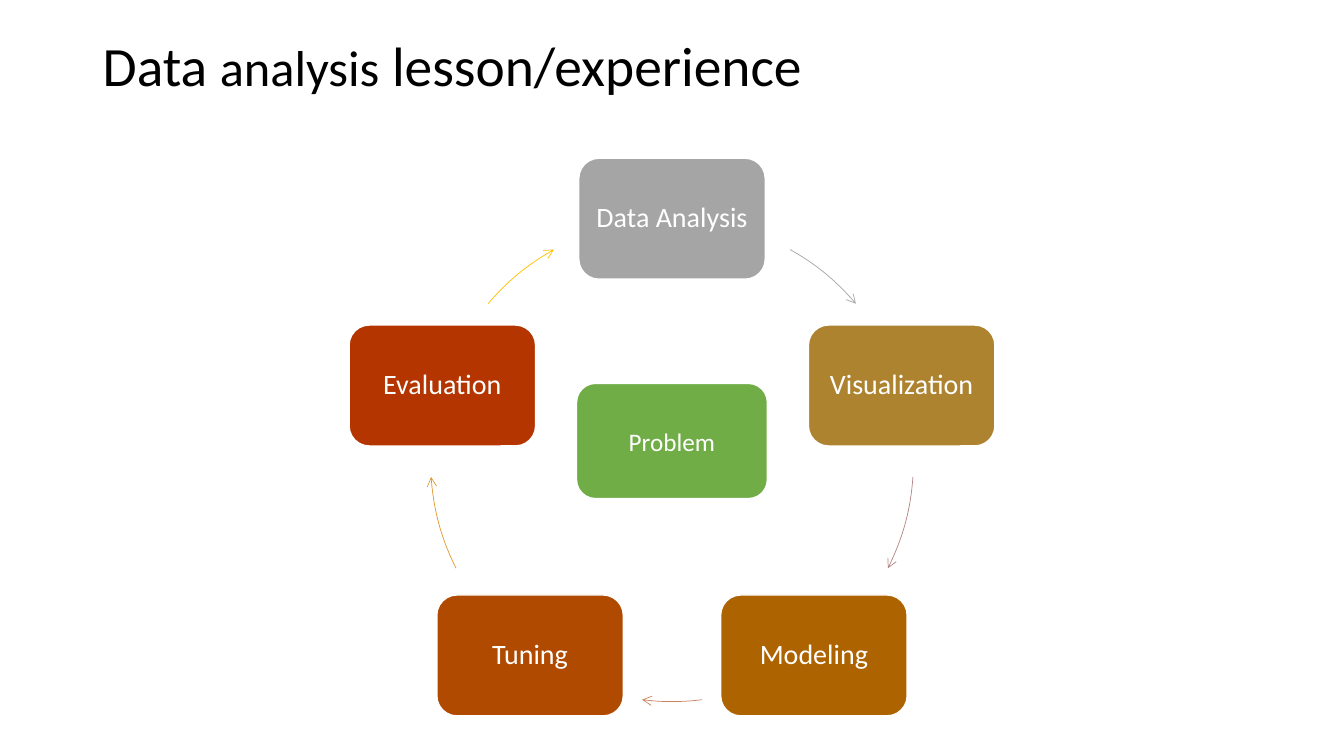
from math import cos, radians, sin

from lxml.etree import SubElement
from pptx import Presentation
from pptx.dml.color import RGBColor
from pptx.enum.shapes import MSO_SHAPE
from pptx.enum.text import MSO_ANCHOR, PP_ALIGN
from pptx.oxml.ns import qn
from pptx.util import Inches, Pt

FONT = "Calibri"
WHITE = RGBColor(255, 255, 255)
BLACK = RGBColor(0, 0, 0)
GREEN = RGBColor(0x70, 0xAD, 0x47)

# Label, box colour, arrow colour, arrow start and end in degrees from the top
STEPS = [
    ("Data Analysis", RGBColor(0xA5, 0xA5, 0xA5), RGBColor(0xA5, 0xA5, 0xA5), 29.3, 49.6),
    ("Visualization", RGBColor(0xAD, 0x83, 0x30), RGBColor(0xB4, 0x83, 0x83), 94, 116.6),
    ("Modeling", RGBColor(0xAD, 0x63, 0x00), RGBColor(0xC9, 0x82, 0x5C), 172.9, 187.1),
    ("Tuning", RGBColor(0xB0, 0x4A, 0x00), RGBColor(0xE1, 0x98, 0x30), 243.4, 266),
    ("Evaluation", RGBColor(0xB4, 0x35, 0x00), RGBColor(0xFF, 0xC0, 0x00), 310.4, 330.7),
]


def add_title(slide, left, top, width, height):
    frame = slide.shapes.add_textbox(
        Inches(left), Inches(top), Inches(width), Inches(height)).text_frame
    frame.word_wrap = True
    frame.vertical_anchor = MSO_ANCHOR.MIDDLE
    para = frame.paragraphs[0]
    para.line_spacing = 0.7
    para.font.name = FONT
    para.font.color.rgb = BLACK
    for text, size in (("Data ", 39.6), ("analysis", 36), (" lesson/experience", 39.6)):
        run = para.add_run()
        run.text = text
        run.font.size = Pt(size)


def add_box(slide, mid_x, mid_y, width, height, text, color, size, edge):
    """Draw a rounded box centred on the given point."""
    box = slide.shapes.add_shape(
        MSO_SHAPE.ROUNDED_RECTANGLE, Inches(mid_x - width / 2),
        Inches(mid_y - height / 2), Inches(width), Inches(height))
    box.shadow.inherit = False
    box.fill.solid()
    box.fill.fore_color.rgb = color
    box.line.color.rgb = WHITE
    box.line.width = Pt(edge)
    frame = box.text_frame
    frame.word_wrap = True
    frame.vertical_anchor = MSO_ANCHOR.MIDDLE
    frame.margin_left = frame.margin_right = Inches(0.08)
    frame.margin_top = frame.margin_bottom = Inches(0.08)
    para = frame.paragraphs[0]
    para.text = text
    para.alignment = PP_ALIGN.CENTER
    para.font.name = FONT
    para.font.size = Pt(size)
    para.font.color.rgb = WHITE
    return para


def add_arc(slide, left, top, side, color, start, end):
    """Draw an arrow along the circle that fills the given square."""
    arc = slide.shapes.add_shape(
        MSO_SHAPE.ARC, Inches(left), Inches(top), Inches(side), Inches(side))
    arc.shadow.inherit = False
    arc.fill.background()
    arc.line.color.rgb = color
    arc.line.width = Pt(0.5)
    for index, angle in enumerate((start, end)):
        # Arc angles run from the right, in 60000ths of a degree
        arc.adjustments[index] = (angle - 90) % 360 * 0.6
    SubElement(arc.line._get_or_add_ln(), qn("a:tailEnd"), type="arrow")


def add_cycle(slide, left, top, side):
    """Spread the steps evenly round the circle in the given square."""
    radius = side / 2
    mid_x, mid_y = left + radius, top + radius
    for index, (text, fill, line, start, end) in enumerate(STEPS):
        turn = radians(index * 360 / len(STEPS))
        para = add_box(slide, mid_x + radius * sin(turn), mid_y - radius * cos(turn),
                       1.85, 1.2, text, fill, 20, 1)
        para.line_spacing = 0.9
        add_arc(slide, left, top, side, line, start, end)
    add_box(slide, mid_x, mid_y - 0.19, 1.9, 1.15, "Problem", GREEN, 18, 1.5)


def main():
    deck = Presentation()
    deck.slide_width, deck.slide_height = Inches(13.33), Inches(7.5)
    slide = deck.slides.add_slide(deck.slide_layouts[6])
    add_cycle(slide, 4.27, 2.17, 4.79)
    add_title(slide, 0.92, 0.4, 11.5, 0.63)
    deck.save("out.pptx")


if __name__ == "__main__":
    main()
